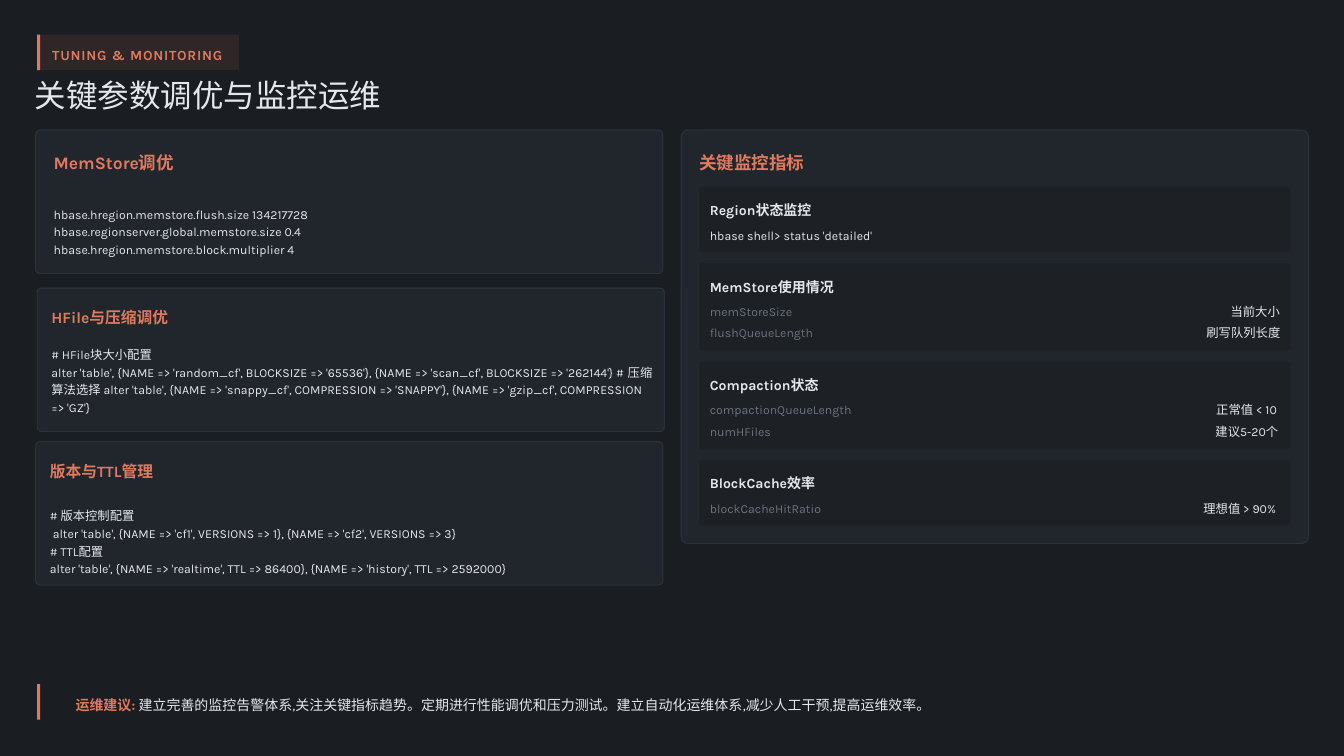
import math
import pptx
import pptx.dml.color
import pptx.enum.shapes
import pptx.enum.text
import pptx.oxml
import pptx.oxml.ns
import pptx.util

Inches = pptx.util.Inches
Shape = pptx.enum.shapes.MSO_SHAPE
RGB = pptx.dml.color.RGBColor.from_string
qn = pptx.oxml.ns.qn
INK = {"back": "1A1D21", "coral": "E07A5F", "text": "E5E7EB", "panel": "3D4A5C", "muted": "6B7280"}

deck = pptx.Presentation()
deck.slide_width, deck.slide_height = Inches(17.78), Inches(10)
slide = deck.slides.add_slide(deck.slide_layouts[5])
slide.background.fill.solid()
slide.background.fill.fore_color.rgb = RGB(INK["back"])


def write(text, spot, size=11.7, ink="text", bold=False, space=1.2,
          font="Karla", track=0, tail="", shape=None):
    spot = [Inches(n) for n in spot]
    if shape is None:
        shape = slide.shapes.add_textbox(*spot)
    shape.left, shape.top, shape.width, shape.height = spot
    frame = shape.text_frame
    frame.word_wrap = True
    frame.auto_size = pptx.enum.text.MSO_AUTO_SIZE.NONE
    frame.vertical_anchor = pptx.enum.text.MSO_ANCHOR.MIDDLE
    frame.margin_left = frame.margin_right = frame.margin_top = frame.margin_bottom = 0
    for i, line in enumerate(text.split("\n")):
        para = frame.add_paragraph() if i else frame.paragraphs[0]
        para.alignment = pptx.enum.text.PP_ALIGN.LEFT
        para.line_spacing = space
        para.space_before = pptx.util.Pt(0)
        parts = [(line, ink, bold)] + ([(tail, "text", False)] if tail else [])
        for words, hue, heavy in parts:
            run = para.add_run()
            run.text = words
            run.font.size = pptx.util.Pt(size)
            run.font.name = font
            run.font.bold = heavy
            run.font.color.rgb = RGB(INK[hue])
            props = run.font._element
            if track:
                props.set("spc", str(track))
            props.find(qn("a:latin")).addnext(pptx.oxml.parse_xml(
                '<a:ea xmlns:a="http://schemas.openxmlformats.org/drawingml/2006/main"'
                ' typeface="Noto Sans CJK SC"/>'))


def block(spot, ink, alpha=100, curve=0, edge=0):
    kind = Shape.ROUNDED_RECTANGLE if curve else Shape.RECTANGLE
    shape = slide.shapes.add_shape(kind, *[Inches(n) for n in spot])
    shape.shadow.inherit = False
    if curve:
        shape.adjustments[0] = curve / min(spot[2:])
    shape.fill.solid()
    shape.fill.fore_color.rgb = RGB(INK[ink])
    if edge:
        shape.line.color.rgb = RGB(INK[ink])
        shape.line.width = pptx.util.Pt(1)
    else:
        shape.line.fill.background()
    for node, part in zip(shape._element.spPr.iter(qn("a:srgbClr")), (alpha, edge)):
        if part < 100:
            node.append(pptx.oxml.parse_xml(
                '<a:alpha xmlns:a="http://schemas.openxmlformats.org/drawingml/2006/main"'
                f' val="{part * 1000}"/>'))


block((0.49, 0.46, 2.67, 0.47), "coral", 10)
block((0.49, 0.46, 0.04, 0.47), "coral")
write("TUNING & MONITORING", (0.69, 0.57, 2.37, 0.24), 13.3, "coral", True, 1.3, track=70)
write("关键参数调优与监控运维", (0.46, 1.06, 17.06, 0.46), 30, space=0.9,
      font="Noto Sans CJK SC", shape=slide.shapes.title)

panels = [
    (0.47, 1.72, "MemStore调优", 16.7, 1.2, (0.71, 1.96, 7.94), (2.47, 1.16),
     "hbase.hregion.memstore.flush.size 134217728\n"
     "hbase.regionserver.global.memstore.size 0.4\n"
     "hbase.hregion.memstore.block.multiplier 4"),
    (0.49, 3.81, "HFile与压缩调优", 15, 1.3, (0.68, 4, 8.02), (4.46, 1.12),
     "# HFile块大小配置\n"
     "alter 'table', {NAME => 'random_cf', BLOCKSIZE => '65536'}, "
     "{NAME => 'scan_cf', BLOCKSIZE => '262144'} # 压缩算法选择 "
     "alter 'table', {NAME => 'snappy_cf', COMPRESSION => 'SNAPPY'}, "
     "{NAME => 'gzip_cf', COMPRESSION => 'GZ'}"),
    (0.47, 5.84, "版本与TTL管理", 15, 1.3, (0.66, 6.04, 8.02), (6.5, 1.31),
     "# 版本控制配置\n"
     " alter 'table', {NAME => 'cf1', VERSIONS => 1}, {NAME => 'cf2', VERSIONS => 3}\n"
     "# TTL配置\n"
     "alter 'table', {NAME => 'realtime', TTL => 86400}, {NAME => 'history', TTL => 2592000}"),
]
for left, top, head, size, space, (x, y, wide), (low, tall), code in panels:
    block((left, top, 8.3, 1.9), "panel", 20, 0.06, 40)
    write(head, (x, y, wide, 0.32), size, "coral", True, space)
    write(code, (x, low, 8 if x < 0.7 else 7.91, tall))

block((9.01, 1.72, 8.3, 5.47), "panel", 20, 0.09, 40)
write("关键监控指标", (9.25, 1.96, 7.94, 0.32), 16.7, "coral", True)
cards = [
    ("Region状态监控", [("hbase shell> status 'detailed'", "", 0)]),
    ("MemStore使用情况", [("memStoreSize", "当前大小", 16.28),
                      ("flushQueueLength", "刷写队列长度", 15.96)]),
    ("Compaction状态", [("compactionQueueLength", "正常值 < 10", 16.09),
                      ("numHFiles", "建议5-20个", 16.08)]),
    ("BlockCache效率", [("blockCacheHitRatio", "理想值 > 90%", 15.92)]),
]
top = 2.47
for head, rows in cards:
    tall = 0.58 + 0.29 * len(rows)
    block((9.25, top, 7.82, tall), "back", 50, 0.05)
    write(head, (9.39, top + 0.14, 7.64, 0.28), 13.3, bold=True, space=1.3)
    for i, (name, value, x) in enumerate(rows):
        y = top + 0.51 + 0.28 * i
        write(name, (9.39, y, 2 if value else 7.63, 0.23), ink="muted" if value else "text")
        if value:
            write(value, (x, y, 17.02 - x, 0.23))
    top += tall + 0.14

block((0.49, 9.05, 0.04, 0.47), "coral")
arc = [(0.81 + 0.07 * math.cos(math.radians(a)), 9.27 + 0.07 * math.sin(math.radians(a)))
       for a in range(150, 391, 15)]
bulb = [
    arc + [(0.85, 9.34), (0.77, 9.34)],
    [(0.78, 9.35), (0.84, 9.35), (0.84, 9.37), (0.82, 9.39), (0.8, 9.39), (0.78, 9.37)],
    [(0.81, 9.24), (0.79, 9.25), (0.78, 9.27), (0.76, 9.26), (0.78, 9.23), (0.81, 9.22)],
]
pen = slide.shapes.build_freeform(*bulb[0][0], scale=Inches(1))
for i, ring in enumerate(bulb):
    if i:
        pen.move_to(*ring[0])
    pen.add_line_segments(ring[1:], close=True)
lamp = pen.convert_to_shape()
lamp.shadow.inherit = False
lamp.fill.solid()
lamp.fill.fore_color.rgb = RGB(INK["coral"])
lamp.line.fill.background()
write("运维建议:", (1, 9.15, 16.4, 0.28), 13.3, "coral", True, 1.3,
      tail=" 建立完善的监控告警体系,关注关键指标趋势。定期进行性能调优和压力测试。"
           "建立自动化运维体系,减少人工干预,提高运维效率。")

deck.save("out.pptx")
